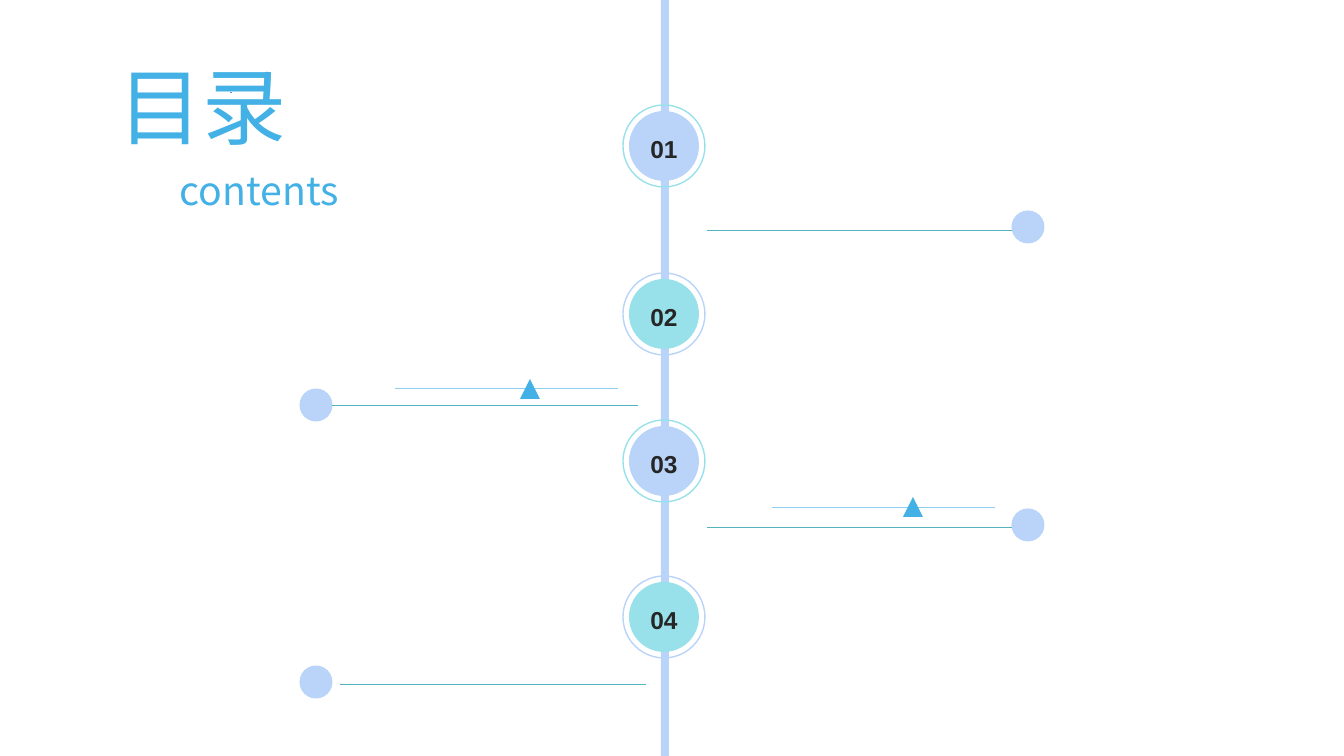
from dataclasses import dataclass

from lxml import etree
from pptx import Presentation
from pptx.dml.color import RGBColor
from pptx.enum.shapes import MSO_CONNECTOR, MSO_SHAPE
from pptx.enum.text import MSO_ANCHOR, MSO_AUTO_SIZE, PP_ALIGN
from pptx.oxml.ns import qn
from pptx.util import Emu, Pt

RECTANGLE, OVAL, TRIANGLE = MSO_SHAPE.RECTANGLE, MSO_SHAPE.OVAL, MSO_SHAPE.ISOSCELES_TRIANGLE
STRAIGHT, CURVE = MSO_CONNECTOR.STRAIGHT, MSO_CONNECTOR.CURVE
LEFT, CENTER = PP_ALIGN.LEFT, PP_ALIGN.CENTER
TOP, MIDDLE = MSO_ANCHOR.TOP, MSO_ANCHOR.MIDDLE
EMU_PER_PX = 914400 / 100.8


@dataclass(frozen=True)
class Theme:
    periwinkle: str = "B9D3F9"
    aqua: str = "98E1EA"
    sky: str = "43B1E5"
    pale_sky: str = "8FCDEE"
    teal: str = "53B4BF"
    blue: str = "6096E6"
    ink: str = "262626"
    number_font: str = "Arial"
    title_font: str = "Noto Sans CJK JP"
    number_size: float = 17.5
    title_size: float = 60
    subtitle_size: float = 28
    thin_line: float = 0.5
    ring_line: float = 1


THEME = Theme()

# Content; all lengths are px
SLIDE_SIZE = (1344, 756)
TITLE = ("目录", (108, 49, 336, 112), THEME.title_size)
SUBTITLE = ("contents", (170, 161, 197, 57), THEME.subtitle_size)
RAIL = (661, 0, 8, 756)
MILESTONE_X, DISC_SIZE, RING_SIZE = 664, 70, 82
MILESTONES = [("01", 146), ("02", 314), ("03", 461), ("04", 617)]
DOT_SIZE, TRIANGLE_SIZE = 33, 20
DOTS = [(316, 405), (1028, 227), (316, 682), (1028, 525)]
TRIANGLES = [(530, 389), (913, 507)]
# start x, end x, y, colour, connector kind
LINES = [
    (332, 638, 405, THEME.teal, STRAIGHT),
    (395, 618, 388, THEME.pale_sky, STRAIGHT),
    (707, 1012, 230, THEME.teal, STRAIGHT),
    (340, 646, 684, THEME.teal, STRAIGHT),
    (707, 1012, 527, THEME.teal, STRAIGHT),
    (772, 995, 507, THEME.pale_sky, STRAIGHT),
    (232, 230, 92, THEME.blue, CURVE),
]


def px(length):
    return Emu(round(length * EMU_PER_PX))


def color(value):
    return RGBColor.from_string(value)


def centered(x, y, size):
    return x - size / 2, y - size / 2, size, size


def add_shape(slide, kind, box, fill=None, outline=None):
    shape = slide.shapes.add_shape(kind, *map(px, box))
    shape.shadow.inherit = False
    if fill:
        shape.fill.solid()
        shape.fill.fore_color.rgb = color(fill)
    else:
        shape.fill.background()
    if outline:
        shape.line.color.rgb = color(outline)
        shape.line.width = Pt(THEME.ring_line)
    else:
        shape.line.fill.background()
    return shape


def add_line(slide, start_x, end_x, y, line_color, kind):
    line = slide.shapes.add_connector(kind, px(start_x), px(y), px(end_x), px(y))
    line.line.color.rgb = color(line_color)
    line.line.width = Pt(THEME.thin_line)
    etree.SubElement(line._element.spPr, qn("a:effectLst"))


def write(shape, text, alignment, anchor, font_color, **font_values):
    frame = shape.text_frame
    frame.word_wrap = True
    frame.vertical_anchor = anchor
    paragraph = frame.paragraphs[0]
    paragraph.alignment = alignment
    run = paragraph.add_run()
    run.text = text
    for name, value in font_values.items():
        setattr(run.font, name, value)
    run.font.color.rgb = color(font_color)
    return paragraph, run


def write_heading(shape, text, box, size):
    for name, length in zip(("left", "top", "width", "height"), box):
        setattr(shape, name, px(length))
    _, run = write(shape, text, LEFT, TOP, THEME.sky, name=THEME.title_font, size=Pt(size))
    shape.text_frame.auto_size = MSO_AUTO_SIZE.SHAPE_TO_FIT_TEXT
    east_asian = etree.SubElement(run._r.get_or_add_rPr(), qn("a:ea"))
    east_asian.set("typeface", THEME.title_font)


def main():
    presentation = Presentation()
    presentation.slide_width, presentation.slide_height = map(px, SLIDE_SIZE)
    slide = presentation.slides.add_slide(presentation.slide_layouts[5])

    add_shape(slide, RECTANGLE, RAIL, THEME.periwinkle)
    write_heading(slide.shapes.title, *TITLE)
    write_heading(slide.shapes.add_textbox(0, 0, 0, 0), *SUBTITLE)

    for index, (number, y) in enumerate(MILESTONES):
        fill, outline = THEME.periwinkle, THEME.aqua
        if index % 2:
            fill, outline = outline, fill
        disc = add_shape(slide, OVAL, centered(MILESTONE_X, y, DISC_SIZE), fill)
        paragraph, _ = write(disc, number, CENTER, MIDDLE, THEME.ink,
                             name=THEME.number_font, size=Pt(THEME.number_size), bold=True)
        paragraph.line_spacing = 1.2
        add_shape(slide, OVAL, centered(MILESTONE_X, y, RING_SIZE), outline=outline)

    for x, y in DOTS:
        add_shape(slide, OVAL, centered(x, y, DOT_SIZE), THEME.periwinkle)
    for line in LINES:
        add_line(slide, *line)
    for x, y in TRIANGLES:
        add_shape(slide, TRIANGLE, centered(x, y, TRIANGLE_SIZE), THEME.sky)

    presentation.save("out.pptx")


if __name__ == "__main__":
    main()
